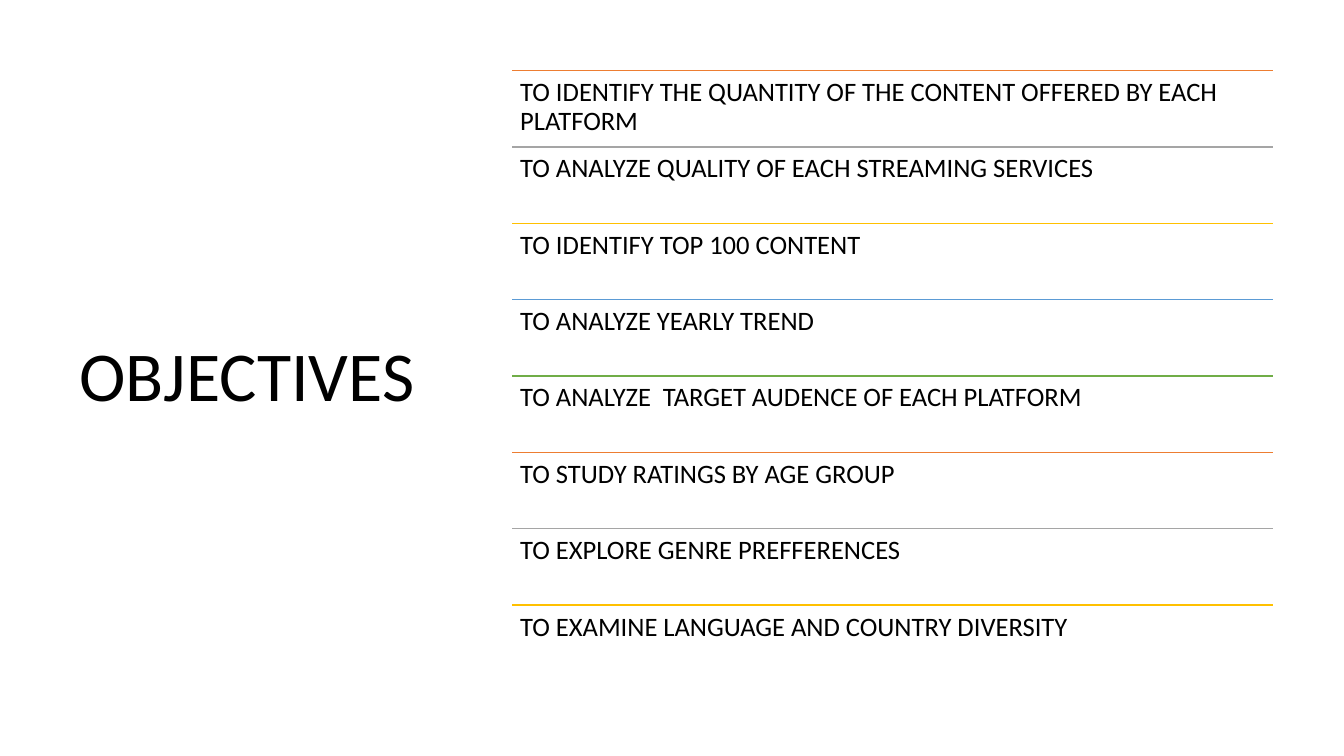
"""Build the Objectives slide: a title beside eight ruled statements."""
from itertools import cycle

from pptx import Presentation
from pptx.dml.color import RGBColor as Rgb
from pptx.enum.shapes import MSO_CONNECTOR as Connector
from pptx.enum.text import MSO_ANCHOR as Anchor
from pptx.oxml.ns import qn
from pptx.util import Inches, Pt
from lxml.etree import SubElement

THEME = {
    "font": "Calibri",
    "ink": "000000",
    "rules": ["ED7D31", "A5A5A5", "FFC000", "5B9BD5", "70AD47"],
    "rule_width": 1,
    "title_size": 50,
    "objective_size": 19,
}

OBJECTIVES = [
    "TO IDENTIFY THE QUANTITY OF THE CONTENT OFFERED BY EACH PLATFORM",
    "TO ANALYZE QUALITY OF EACH STREAMING SERVICES",
    "TO IDENTIFY TOP 100 CONTENT",
    "TO ANALYZE YEARLY TREND",
    "TO ANALYZE  TARGET AUDENCE OF EACH PLATFORM",
    "TO STUDY RATINGS BY AGE GROUP",
    "TO EXPLORE GENRE PREFFERENCES",
    "TO EXAMINE LANGUAGE AND COUNTRY DIVERSITY",
]

deck = Presentation()
deck.slide_width, deck.slide_height = Inches(13.33), Inches(7.5)
slide = deck.slides.add_slide(deck.slide_layouts[6])


def add_statement(words, box, size, frame_format):
    """Write one paragraph in a wrapped text box."""
    frame = slide.shapes.add_textbox(*box).text_frame
    for name, value in {"word_wrap": True, **frame_format}.items():
        setattr(frame, name, value)
    paragraph = frame.paragraphs[0]
    paragraph.line_spacing = 0.9
    run = paragraph.add_run()
    run.text = words
    for name, value in {"name": THEME["font"], "size": Pt(size)}.items():
        setattr(run.font, name, value)
    run.font.color.rgb = Rgb.from_string(THEME["ink"])


title_box = [Inches(length) for length in (0.69, 0.7, 3.74, 6.11)]
add_statement("OBJECTIVES", title_box, THEME["title_size"],
              {"vertical_anchor": Anchor.MIDDLE})

list_left, list_top = Inches(5.08), Inches(0.7)
list_width, list_height = Inches(7.55), Inches(6.06)
row_height = list_height // len(OBJECTIVES)
sides = ("left", "top", "right", "bottom")
row_format = {f"margin_{side}": Inches(0.08) for side in sides}

for row, (objective, color) in enumerate(zip(OBJECTIVES, cycle(THEME["rules"]))):
    top = list_top + row * row_height
    rule = slide.shapes.add_connector(
        Connector.STRAIGHT, list_left, top, list_left + list_width, top)
    rule.line.color.rgb = Rgb.from_string(color)
    rule.line.width = Pt(THEME["rule_width"])
    SubElement(rule._element.spPr, qn("a:effectLst"))
    add_statement(objective, (list_left, top, list_width, row_height),
                  THEME["objective_size"], row_format)

deck.save("out.pptx")
